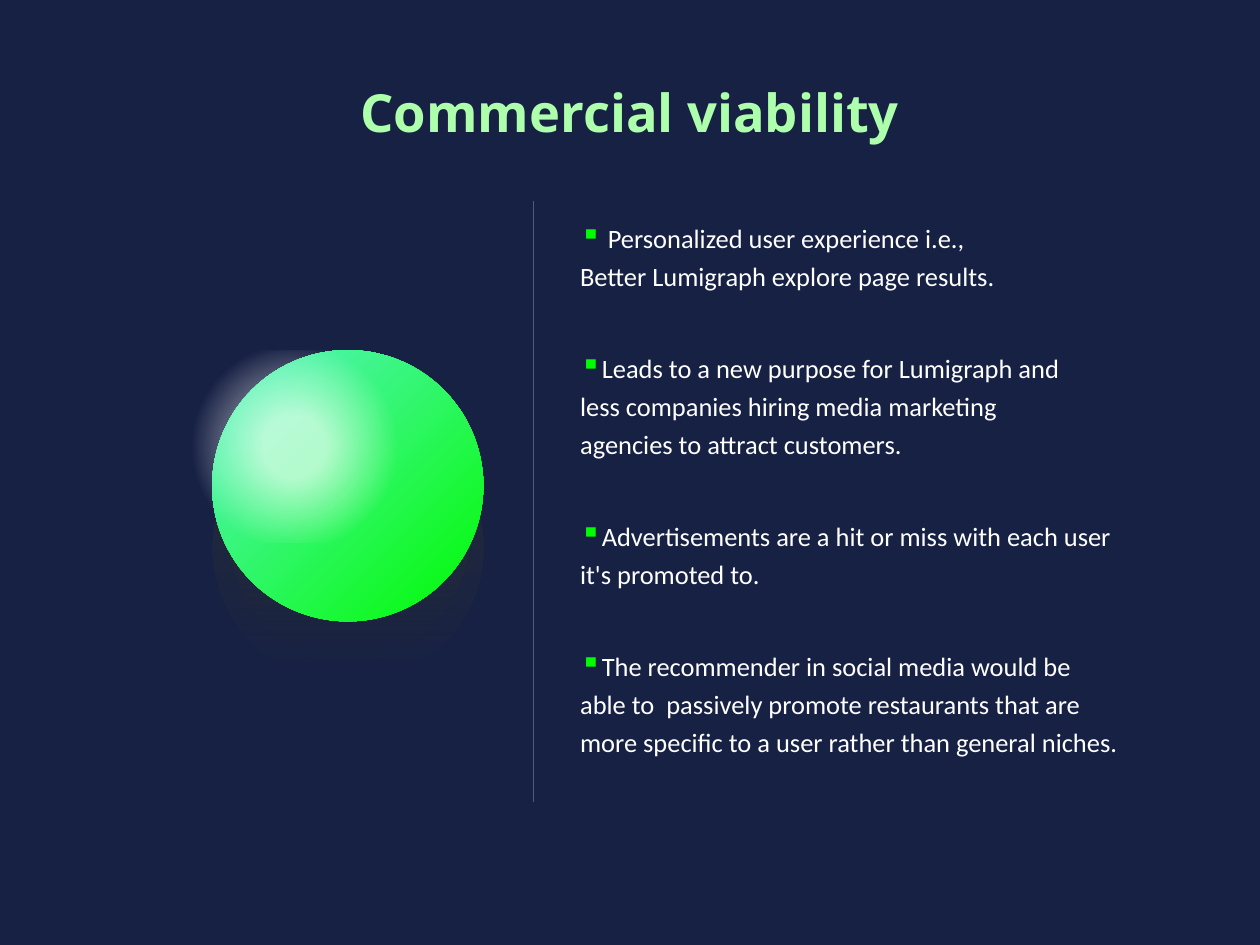
from lxml.etree import SubElement
from pptx import Presentation
from pptx.dml.color import RGBColor
from pptx.enum.shapes import MSO_CONNECTOR, MSO_SHAPE
from pptx.enum.text import MSO_ANCHOR, PP_ALIGN
from pptx.oxml import parse_xml
from pptx.oxml.ns import nsdecls, qn
from pptx.util import Inches, Pt

WIDE, HIGH = Inches(26.67), Inches(20)
NAVY, MINT, WHITE, GREEN, GREY = "172144", "ADFFAC", "FFFFFF", "00FD00", "505975"
SHADE = [(0, "272E3A", 17), (42, "272E3A", 55), (100, "272E3A", 0)]
BALL = [(0, "5CF3CB", 100), (100, "00FA00", 100)]
GLOW = [(18, "FFFFFF", 62), (59, "FFFFFF", 0)]
LINEAR = '<a:lin ang="5400000" scaled="0"/>'
RADIAL = ('<a:path path="circle"><a:fillToRect l="{0}" t="{1}" r="{2}" b="{3}"/>'
          '</a:path>')
CORNER = RADIAL.format(0, 0, 100000, 100000)
CENTRE = RADIAL.format(50000, 50000, 50000, 50000)
POINTS = [
    " Personalized user experience i.e., Better~Lumigraph~explore page results.",
    "Leads to a new purpose for Lumigraph and less~companies hiring media "
    "marketing agencies~to~attract~customers.",
    "Advertisements are a hit or miss with each~user it's~promoted to.",
    "The recommender in social media would be able~to~ passively "
    "promote~restaurants~that are more~specific~to a user~rather "
    "than~general niches.",
]


def color(code):
    return RGBColor.from_string(code)


def part(box, x, y, w, h):
    left, top, wide, high = box
    return (int(left + x * wide), int(top + y * high),
            int(w * wide), int(h * high))


def bullet(para):
    props = para._p.get_or_add_pPr()
    props.set("marL", "0")
    props.set("indent", str(-Inches(0.5)))
    tint = SubElement(props, qn("a:buClr"))
    SubElement(tint, qn("a:srgbClr")).set("val", GREEN)
    SubElement(props, qn("a:buSzPct")).set("val", "110000")
    SubElement(props, qn("a:buChar")).set("char", "▪")


def write(slide, box, lines, font, size, ink, bold=False, align=PP_ALIGN.LEFT,
          anchor=MSO_ANCHOR.TOP, marks=False, space=1.0, gap=0):
    frame = slide.shapes.add_textbox(*box).text_frame
    frame.word_wrap = True
    frame.vertical_anchor = anchor
    for i, line in enumerate(lines):
        para = frame.add_paragraph() if i else frame.paragraphs[0]
        para.alignment = align
        para.line_spacing = space
        if i and gap:
            para.space_before = Pt(gap)
        if marks:
            bullet(para)
        run = para.add_run()
        run.text = line.replace("~", chr(160))
        run.font.name, run.font.size, run.font.bold = font, Pt(size), bold
        run.font.color.rgb = color(ink)


def blend(group, kind, box, stops, way):
    shape = group.shapes.add_shape(kind, *box)
    shape.shadow.inherit = False
    shape.line.fill.background()
    steps = "".join(
        f'<a:gs pos="{at * 1000}"><a:srgbClr val="{code}">'
        f'<a:alpha val="{alpha * 1000}"/></a:srgbClr></a:gs>'
        for at, code, alpha in stops)
    fill = parse_xml(f'<a:gradFill {nsdecls("a")} rotWithShape="1">'
                     f'<a:gsLst>{steps}</a:gsLst>{way}</a:gradFill>')
    shape._element.spPr.insert(2, fill)
    return shape


def title(slide, box):
    write(slide, box, ["Commercial viability"], "Open Sans", 80, MINT,
          bold=True, align=PP_ALIGN.CENTER)


def sphere(slide, box):
    group = slide.shapes.add_group_shape()
    oval = MSO_SHAPE.OVAL
    blend(group, oval, part(box, 0, 0.23, 1, 1), SHADE, LINEAR)
    blend(group, oval, part(box, 0.05, 0.1, 0.91, 1.05), SHADE, LINEAR)
    blend(group, oval, box, BALL, CORNER)
    glow = blend(group, MSO_SHAPE.ROUNDED_RECTANGLE,
                 part(box, -0.235, 0, 1.077, 0.71), GLOW, CENTRE)
    glow.adjustments[0] = 0.5


def points(slide, box):
    write(slide, box, POINTS, "Calibri", 40.3, WHITE, marks=True,
          anchor=MSO_ANCHOR.MIDDLE, space=1.2, gap=82)


def rule(slide, box):
    left, top, wide, high = box
    line = slide.shapes.add_connector(
        MSO_CONNECTOR.STRAIGHT, left, top, left + wide, top + high)
    line.line.color.rgb = color(GREY)
    line.line.width = Pt(1.5)
    SubElement(line._element.spPr, qn("a:effectLst"))


def main():
    deck = Presentation()
    deck.slide_width, deck.slide_height = WIDE, HIGH
    slide = deck.slides.add_slide(deck.slide_layouts[6])
    slide.background.fill.solid()
    slide.background.fill.fore_color.rgb = color(NAVY)
    page = (0, 0, WIDE, HIGH)
    title(slide, part(page, 0.2133, 0.082, 0.5733, 0.0725))
    points(slide, part(page, 0.4567, 0.224, 0.4638, 0.582))
    sphere(slide, part(page, 0.1684, 0.3705, 0.2152, 0.287))
    rule(slide, part(page, 0.4237, 0.2125, 0, 0.6365))
    deck.save("out.pptx")


if __name__ == "__main__":
    main()
